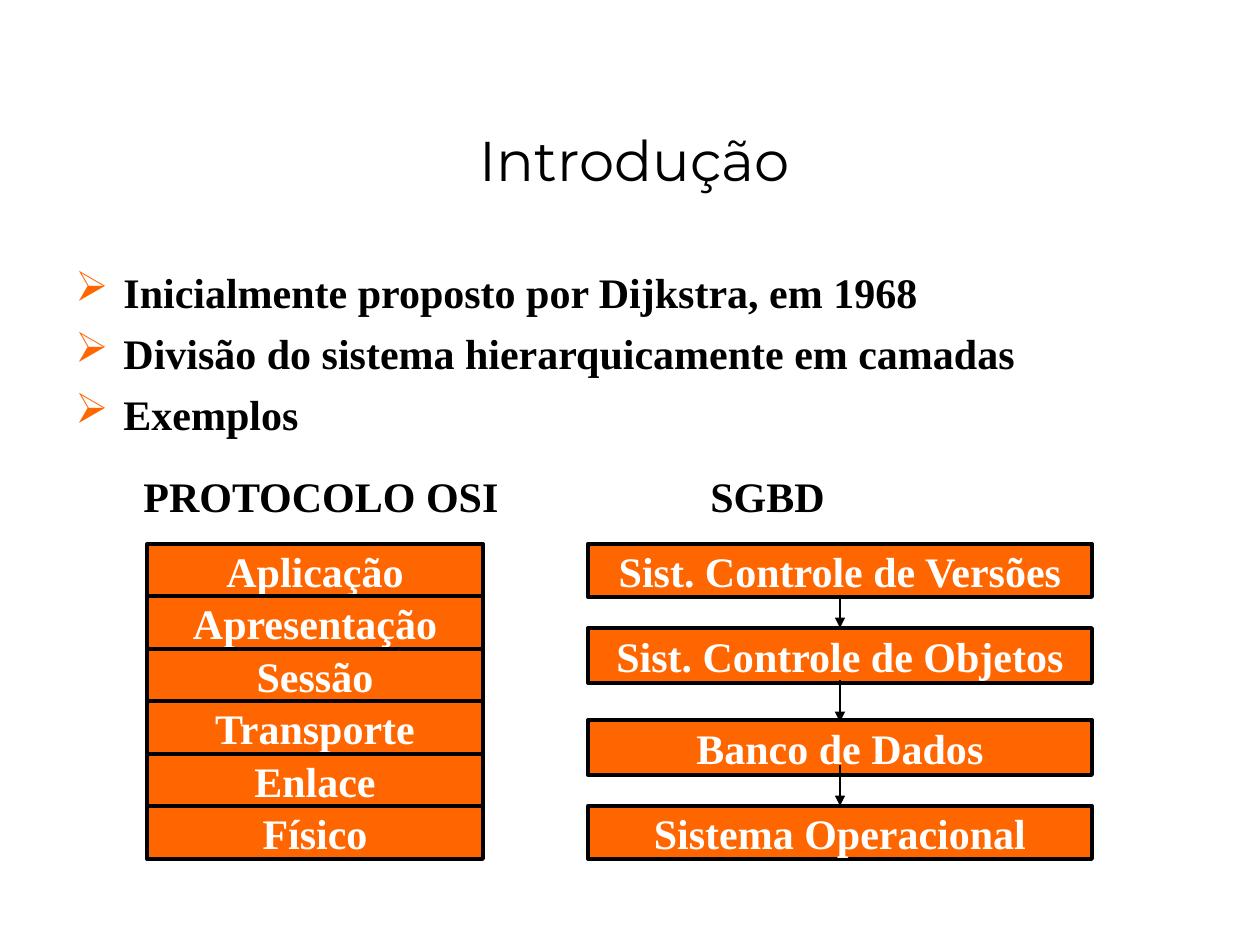
import pptx
import pptx.dml.color
import pptx.enum.shapes
import pptx.enum.text
import pptx.oxml.ns
import pptx.util
from lxml import etree

SCALE = 914400 / 126
COLORS = {"ink": "000000", "paper": "FFFFFF", "accent": "FF6600"}
ALIGN = pptx.enum.text.PP_ALIGN
ANCHOR = pptx.enum.text.MSO_ANCHOR


def px(length):
    return pptx.util.Emu(round(length * SCALE))


def rgb(name):
    return pptx.dml.color.RGBColor.from_string(COLORS[name])


def add_xml(parent, tag, **attributes):
    return etree.SubElement(parent, pptx.oxml.ns.qn(tag), attributes)


def write(para, text, font="Times New Roman", size=24, color="ink", bold=True,
          align=ALIGN.LEFT, before=0):
    para.alignment = align
    para.space_before = pptx.util.Pt(before)
    span = para.add_run()
    span.text = text
    span.font.name = font
    span.font.size = pptx.util.Pt(size)
    span.font.bold = bold
    span.font.color.rgb = rgb(color)


class SlideBuilder:
    def __init__(self, deck):
        self.page = deck.slides.add_slide(deck.slide_layouts[5])
        self.page.background.fill.solid()
        self.page.background.fill.fore_color.rgb = rgb("paper")

    def title(self, text, left, top, width, height):
        box = self.page.shapes.title
        box.left, box.top, box.width, box.height = map(px, (left, top, width, height))
        box.text_frame.vertical_anchor = ANCHOR.BOTTOM
        write(box.text_frame.paragraphs[0], text, font="Montserrat", size=32,
              bold=False, align=ALIGN.CENTER)

    def body(self, bullets, headings, stops, left, top, width, height):
        box = self.page.shapes.add_textbox(*map(px, (left, top, width, height)))
        frame = box.text_frame
        frame.word_wrap = True
        for index, text in enumerate(bullets):
            para = frame.add_paragraph() if index else frame.paragraphs[0]
            write(para, text, before=6)
            properties = para._p.get_or_add_pPr()
            properties.set("marL", str(px(48)))
            properties.set("indent", str(px(-48)))
            color = add_xml(properties, "a:buClr")
            add_xml(color, "a:srgbClr", val=COLORS["accent"])
            add_xml(properties, "a:buChar", char="➢")
        para = frame.add_paragraph()
        write(para, "".join("\t" + heading for heading in headings), before=18.5)
        tabs = add_xml(para._p.get_or_add_pPr(), "a:tabLst")
        for stop in stops:
            add_xml(tabs, "a:tab", pos=str(px(stop)), algn="l")

    def layer(self, text, left, top, width, height):
        box = self.page.shapes.add_shape(
            pptx.enum.shapes.MSO_SHAPE.RECTANGLE, *map(px, (left, top, width, height)))
        box.shadow.inherit = False
        box.fill.solid()
        box.fill.fore_color.rgb = rgb("accent")
        box.line.color.rgb = rgb("ink")
        box.line.width = pptx.util.Pt(2.25)
        box.text_frame.word_wrap = False
        box.text_frame.vertical_anchor = ANCHOR.MIDDLE
        write(box.text_frame.paragraphs[0], text, color="paper", align=ALIGN.CENTER)

    def arrow(self, x, top, bottom):
        line = self.page.shapes.add_connector(
            pptx.enum.shapes.MSO_CONNECTOR.STRAIGHT, *map(px, (x, top, x, bottom)))
        line.line.color.rgb = rgb("ink")
        line.line.width = pptx.util.Pt(0.75)
        add_xml(line.line._get_or_add_ln(), "a:tailEnd", type="triangle")
        add_xml(line._element.spPr, "a:effectLst")


def main():
    deck = pptx.Presentation()
    deck.slide_width, deck.slide_height = px(1260), px(945)
    slide = SlideBuilder(deck)
    slide.title("Introdução", 21, 63, 1228, 136)

    osi_layers = ["Aplicação", "Apresentação", "Sessão", "Transporte", "Enlace", "Físico"]
    for index, name in enumerate(osi_layers):
        slide.layer(name, 147, 544 + index * 105 // 2, 336, 53)

    database_layers = [
        ("Sist. Controle de Versões", 544, 53),
        ("Sist. Controle de Objetos", 628, 55),
        ("Banco de Dados", 720, 55),
        ("Sistema Operacional", 806, 53),
    ]
    for name, top, height in database_layers:
        slide.layer(name, 588, top, 504, height)
    for top, bottom in [(596, 628), (680, 722), (765, 806)]:
        slide.arrow(840, top, bottom)

    slide.body(
        ["Inicialmente proposto por Dijkstra, em 1968",
         "Divisão do sistema hierarquicamente em camadas",
         "Exemplos"],
        ["PROTOCOLO OSI", "SGBD"], [68, 635], 63, 260, 1126, 575)
    deck.save("out.pptx")


if __name__ == "__main__":
    main()
